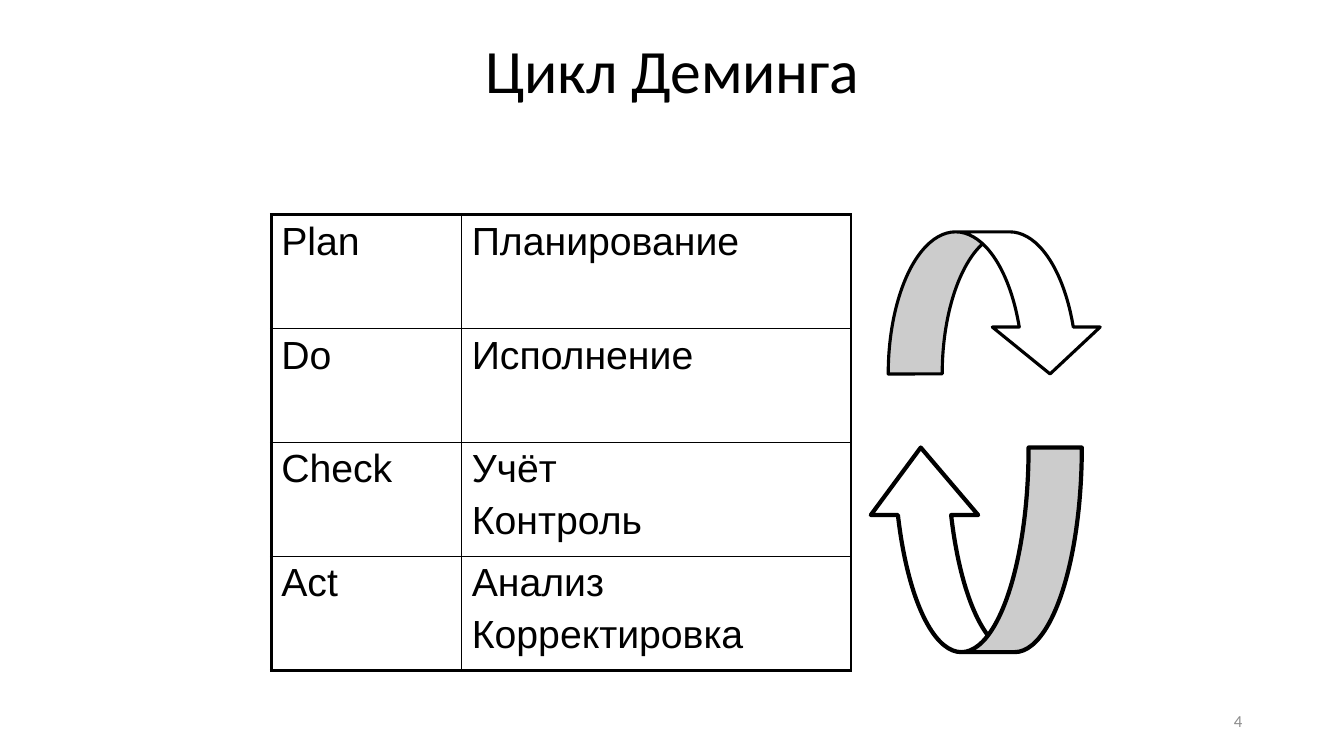
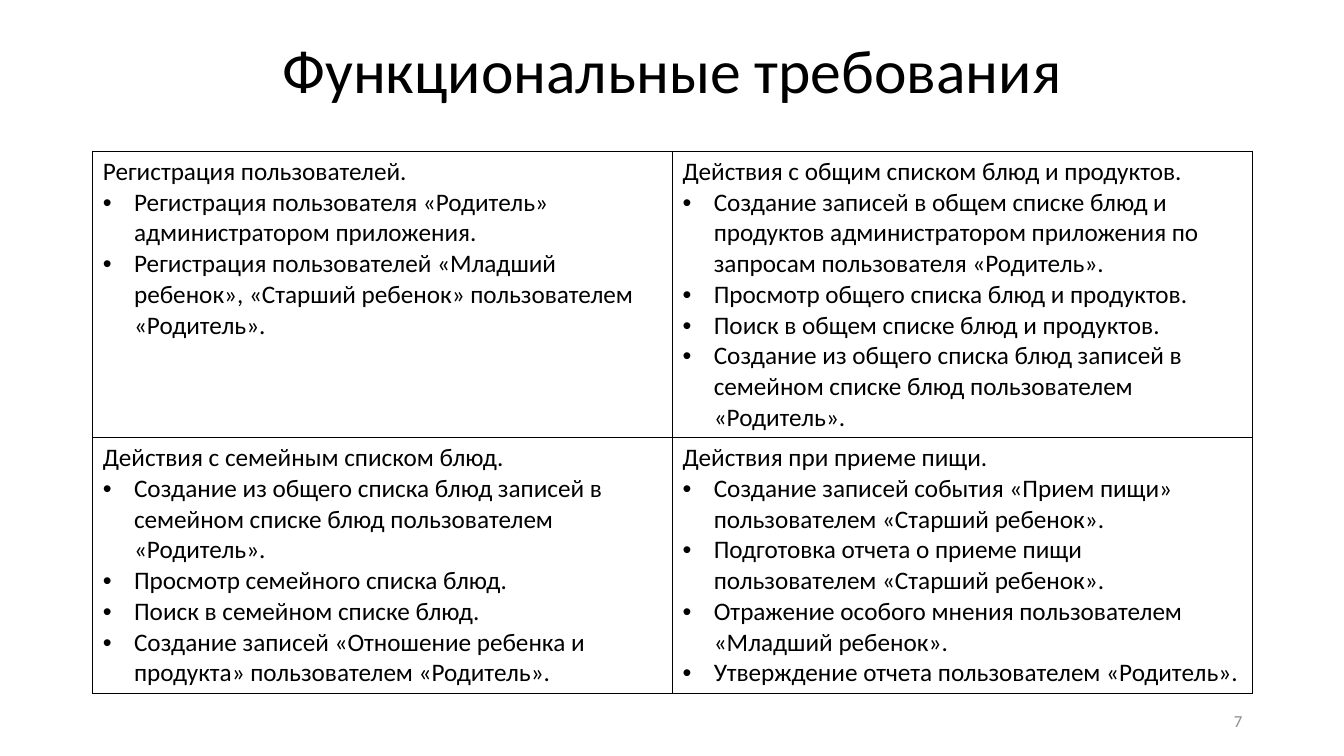
from lxml import etree
from pptx import Presentation
from pptx.dml.color import RGBColor
from pptx.enum.shapes import MSO_SHAPE as Preset
from pptx.enum.text import MSO_ANCHOR as Anchor, PP_ALIGN as Align
from pptx.oxml.ns import qn
from pptx.util import Inches, Pt

# Shared look
COLORS = {"ink": "000000", "paper": "FFFFFF", "muted": "8C8C8C"}
TITLE_BOX = (0.92, 0, 11.5, 1.45)
NUMBER_BOX = (9.42, 6.95, 3, 0.4)
TITLE_FORMAT = {"size": 44, "font": "Calibri", "color": "ink"}
NUMBER_FORMAT = {"size": 12, "font": "Calibri", "color": "muted"}
CYCLE_FORMAT = {"size": 28, "font": "Arial", "color": "ink"}
LIST_FORMAT = {"size": 18, "font": "Calibri", "color": "ink"}
BULLET_INDENT = 0.31
THIN, THICK = 1, 2.25

# Content
CYCLE_STEPS = [
    (["Plan"], ["Планирование"]),
    (["Do"], ["Исполнение"]),
    (["Check"], ["Учёт", "Контроль"]),
    (["Act"], ["Анализ", "Корректировка"]),
]
REQUIREMENTS = [
    (
        [
            "Регистрация пользователей.",
            "Регистрация пользователя «Родитель» администратором приложения.",
            "Регистрация пользователей «Младший ребенок», «Старший ребенок» "
            "пользователем «Родитель».",
        ],
        [
            "Действия с общим списком блюд и продуктов.",
            "Создание записей в общем списке блюд и продуктов администратором "
            "приложения по запросам пользователя «Родитель».",
            "Просмотр общего списка блюд и продуктов.",
            "Поиск в общем списке блюд и продуктов.",
            "Создание из общего списка блюд записей в семейном списке блюд "
            "пользователем «Родитель».",
        ],
    ),
    (
        [
            "Действия с семейным списком блюд.",
            "Создание из общего списка блюд записей в семейном списке блюд "
            "пользователем «Родитель».",
            "Просмотр семейного списка блюд.",
            "Поиск в семейном списке блюд.",
            "Создание записей «Отношение ребенка и продукта» "
            "пользователем «Родитель».",
        ],
        [
            "Действия при приеме пищи.",
            "Создание записей события «Прием пищи» пользователем «Старший ребенок».",
            "Подготовка отчета о приеме пищи пользователем «Старший ребенок».",
            "Отражение особого мнения пользователем «Младший ребенок».",
            "Утверждение отчета пользователем «Родитель».",
        ],
    ),
]


def color(name):
    return RGBColor.from_string(COLORS[name])


def inches(values):
    return [Inches(value) for value in values]


def write(paragraph, text, style, **paragraph_format):
    """Put one formatted run in a paragraph."""
    run = paragraph.add_run()
    run.text = text
    run.font.size = Pt(style["size"])
    run.font.name = style["font"]
    run.font.color.rgb = color(style["color"])
    for name, value in paragraph_format.items():
        setattr(paragraph, name, value)


def add_bullet(paragraph):
    properties = paragraph._p.get_or_add_pPr()
    properties.set("marL", str(Inches(BULLET_INDENT)))
    properties.set("indent", str(-Inches(BULLET_INDENT)))
    etree.SubElement(properties, qn("a:buFont"), typeface="Arial")
    etree.SubElement(properties, qn("a:buChar"), char="•")


def set_borders(cell, widths):
    """Draw cell borders; widths are left, right, top, bottom in points."""
    properties = cell._tc.get_or_add_tcPr()
    for index, (side, width) in enumerate(zip("LRTB", widths)):
        line = etree.Element(qn(f"a:ln{side}"), w=str(Pt(width)))
        fill = etree.SubElement(line, qn("a:solidFill"))
        etree.SubElement(fill, qn("a:srgbClr"), val=COLORS["ink"])
        properties.insert(index, line)


def add_slide(presentation, title, number):
    """Add a slide with its centred title and its page number."""
    slide = presentation.slides.add_slide(presentation.slide_layouts[5])
    heading = slide.shapes.title
    heading.left, heading.top, heading.width, heading.height = inches(TITLE_BOX)
    heading.text_frame.vertical_anchor = Anchor.MIDDLE
    write(heading.text_frame.paragraphs[0], title, TITLE_FORMAT,
          alignment=Align.CENTER, line_spacing=0.9)

    frame = slide.shapes.add_textbox(*inches(NUMBER_BOX)).text_frame
    frame.word_wrap = True
    frame.vertical_anchor = Anchor.MIDDLE
    write(frame.paragraphs[0], str(number), NUMBER_FORMAT, alignment=Align.RIGHT)
    return slide


def add_grid(slide, position, columns, rows, content, style,
             outline=THIN, bulleted=False, space_before=0):
    """Add a plain ruled table; each cell is a list of paragraphs."""
    table = slide.shapes.add_table(
        len(rows), len(columns),
        *inches((*position, sum(columns), sum(rows)))).table
    table.first_row = table.horz_banding = False
    for column, width in zip(table.columns, columns):
        column.width = Inches(width)
    for row, height in zip(table.rows, rows):
        row.height = Inches(height)

    last_row, last_column = len(rows) - 1, len(columns) - 1
    for row_index, row in enumerate(content):
        for column_index, texts in enumerate(row):
            cell = table.cell(row_index, column_index)
            cell.fill.background()
            on_edge = (column_index == 0, column_index == last_column,
                       row_index == 0, row_index == last_row)
            set_borders(cell, [outline if edge else THIN for edge in on_edge])
            frame = cell.text_frame
            for index, text in enumerate(texts):
                paragraph = frame.add_paragraph() if index else frame.paragraphs[0]
                write(paragraph, text, style, space_before=Pt(space_before))
                if bulleted and index:
                    add_bullet(paragraph)


def add_curved_arrow(slide, preset, box, adjustments, line_width, flipped=False):
    arrow = slide.shapes.add_shape(preset, *inches(box))
    arrow.shadow.inherit = False
    arrow.fill.solid()
    arrow.fill.fore_color.rgb = color("paper")
    arrow.line.color.rgb = color("ink")
    arrow.line.width = Pt(line_width)
    for index, value in enumerate(adjustments):
        arrow.adjustments[index] = value
    if flipped:
        arrow._element.spPr.xfrm.set("flipH", "1")


def main():
    presentation = Presentation()
    presentation.slide_width = Inches(13.33)
    presentation.slide_height = Inches(7.5)

    # Deming cycle: arrows beside the table of steps
    cycle = add_slide(presentation, "Цикл Деминга", 4)
    add_curved_arrow(cycle, Preset.CURVED_DOWN_ARROW, (8.81, 2.3, 2.14, 1.41),
                     (0.38, 0.76, 0.33), 2.25)
    add_curved_arrow(cycle, Preset.CURVED_UP_ARROW, (8.6, 4.44, 2.13, 2.03),
                     (0.26, 0.53, 0.33), 3, flipped=True)
    add_grid(cycle, (2.69, 2.13), (1.89, 3.86), [1.13] * 4, CYCLE_STEPS,
             CYCLE_FORMAT, outline=THICK, space_before=5.6)

    # Functional requirements: four bulleted cells
    requirements = add_slide(presentation, "Функциональные требования", 7)
    add_grid(requirements, (0.92, 1.5), [5.75] * 2, (2.84, 2.54), REQUIREMENTS,
             LIST_FORMAT, bulleted=True)

    presentation.save("out.pptx")


if __name__ == "__main__":
    main()
